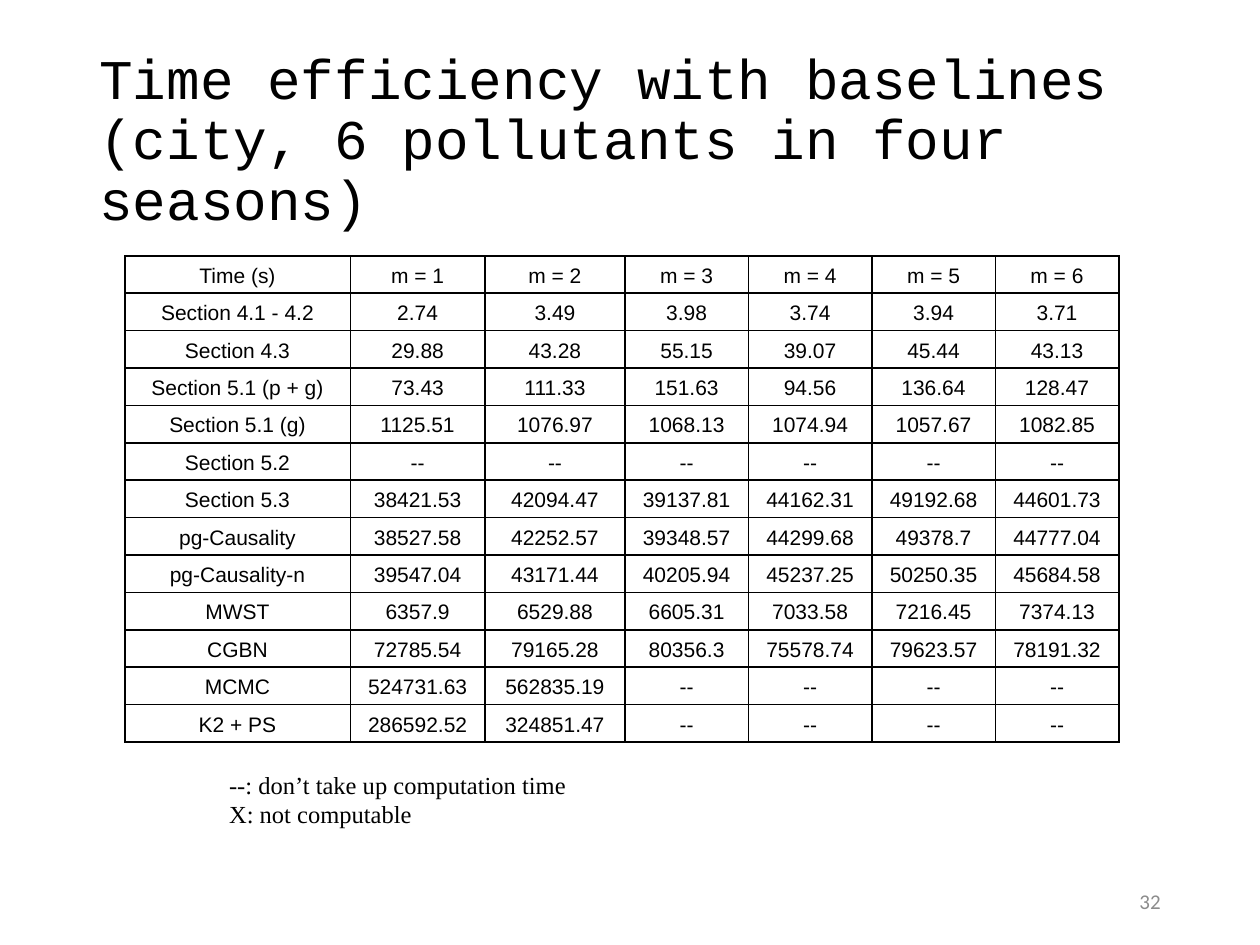
from lxml.etree import SubElement
from pptx import Presentation
from pptx.dml.color import RGBColor
from pptx.enum.text import MSO_ANCHOR, PP_ALIGN
from pptx.oxml.ns import qn
from pptx.util import Inches, Pt

BLACK, GREY = "000000", "8C8C8C"
TITLE = "Time efficiency with baselines (city, 6 pollutants in four seasons)"
NOTES = ["--: don’t take up computation time", "X: not computable"]
PAGE = "32"
HEADER = ["Time (s)"] + [f"m = {m}" for m in range(1, 7)]
TIMES = [
    ("Section 4.1 - 4.2", "2.74 3.49 3.98 3.74 3.94 3.71"),
    ("Section 4.3", "29.88 43.28 55.15 39.07 45.44 43.13"),
    ("Section 5.1 (p + g)", "73.43 111.33 151.63 94.56 136.64 128.47"),
    ("Section 5.1 (g)", "1125.51 1076.97 1068.13 1074.94 1057.67 1082.85"),
    ("Section 5.2", "-- -- -- -- -- --"),
    ("Section 5.3", "38421.53 42094.47 39137.81 44162.31 49192.68 44601.73"),
    ("pg-Causality", "38527.58 42252.57 39348.57 44299.68 49378.7 44777.04"),
    ("pg-Causality-n", "39547.04 43171.44 40205.94 45237.25 50250.35 45684.58"),
    ("MWST", "6357.9 6529.88 6605.31 7033.58 7216.45 7374.13"),
    ("CGBN", "72785.54 79165.28 80356.3 75578.74 79623.57 78191.32"),
    ("MCMC", "524731.63 562835.19 -- -- -- --"),
    ("K2 + PS", "286592.52 324851.47 -- -- -- --"),
]
ROWS = [HEADER] + [[label, *values.split()] for label, values in TIMES]
COL_WIDTHS = [1.79, 1.07, 1.11] + [0.98] * 4
TABLE_LEFT, TABLE_TOP, TABLE_HEIGHT = 0.99, 2.03, 3.86

CELL_FORMAT = {
    "vertical_anchor": MSO_ANCHOR.MIDDLE,
    "margin_left": Inches(0.07),
    "margin_right": Inches(0.07),
    "margin_top": Inches(0.01),
    "margin_bottom": 0,
}


def rgb(color):
    return RGBColor.from_string(color)


def set_all(obj, values):
    for name, value in values.items():
        setattr(obj, name, value)


def write(tf, lines, font, size, color=BLACK, **paragraph_format):
    for i, line in enumerate(lines):
        p = tf.add_paragraph() if i else tf.paragraphs[0]
        set_all(p, paragraph_format)
        r = p.add_run()
        r.text = line
        set_all(r.font, {"name": font, "size": Pt(size)})
        r.font.color.rgb = rgb(color)


def add_text(s, box, lines, font, size, color=BLACK, wrap=True,
             anchor=MSO_ANCHOR.MIDDLE, **paragraph_format):
    tf = s.shapes.add_textbox(*map(Inches, box)).text_frame
    set_all(tf, {"word_wrap": wrap, "vertical_anchor": anchor})
    write(tf, lines, font, size, color, **paragraph_format)


def add_borders(cell):
    tcPr = cell._tc.get_or_add_tcPr()
    for side in ("lnL", "lnR", "lnT", "lnB"):
        ln = SubElement(tcPr, qn(f"a:{side}"), w=str(Pt(1)))
        fill = SubElement(ln, qn("a:solidFill"))
        SubElement(fill, qn("a:srgbClr"), val=BLACK)


def add_times_table(s):
    box = (TABLE_LEFT, TABLE_TOP, sum(COL_WIDTHS), TABLE_HEIGHT)
    table = s.shapes.add_table(len(ROWS), len(HEADER), *map(Inches, box)).table
    set_all(table, {"first_row": False, "horz_banding": False})
    for column, width in zip(table.columns, COL_WIDTHS):
        column.width = Inches(width)
    for row, texts in zip(table.rows, ROWS):
        row.height = Inches(TABLE_HEIGHT / len(ROWS))
        for cell, text in zip(row.cells, texts):
            set_all(cell, CELL_FORMAT)
            add_borders(cell)
            cell.fill.background()
            write(cell.text_frame, [text], "Arial", 12,
                  alignment=PP_ALIGN.CENTER, line_spacing=1.07)


def main():
    prs = Presentation()
    set_all(prs, {"slide_width": Inches(10), "slide_height": Inches(7.5)})
    s = prs.slides.add_slide(prs.slide_layouts[6])
    add_text(s, (0.69, 0.4, 8.62, 1.45), [TITLE], "Courier New", 32,
             line_spacing=0.9)
    add_text(s, (7.06, 6.95, 2.25, 0.4), [PAGE], "Calibri", 12, GREY,
             alignment=PP_ALIGN.RIGHT)
    add_text(s, (1.72, 6.06, 2.9, 0.57), NOTES, "Times New Roman", 14,
             wrap=False, anchor=MSO_ANCHOR.TOP)
    add_times_table(s)
    prs.save("out.pptx")


if __name__ == "__main__":
    main()
